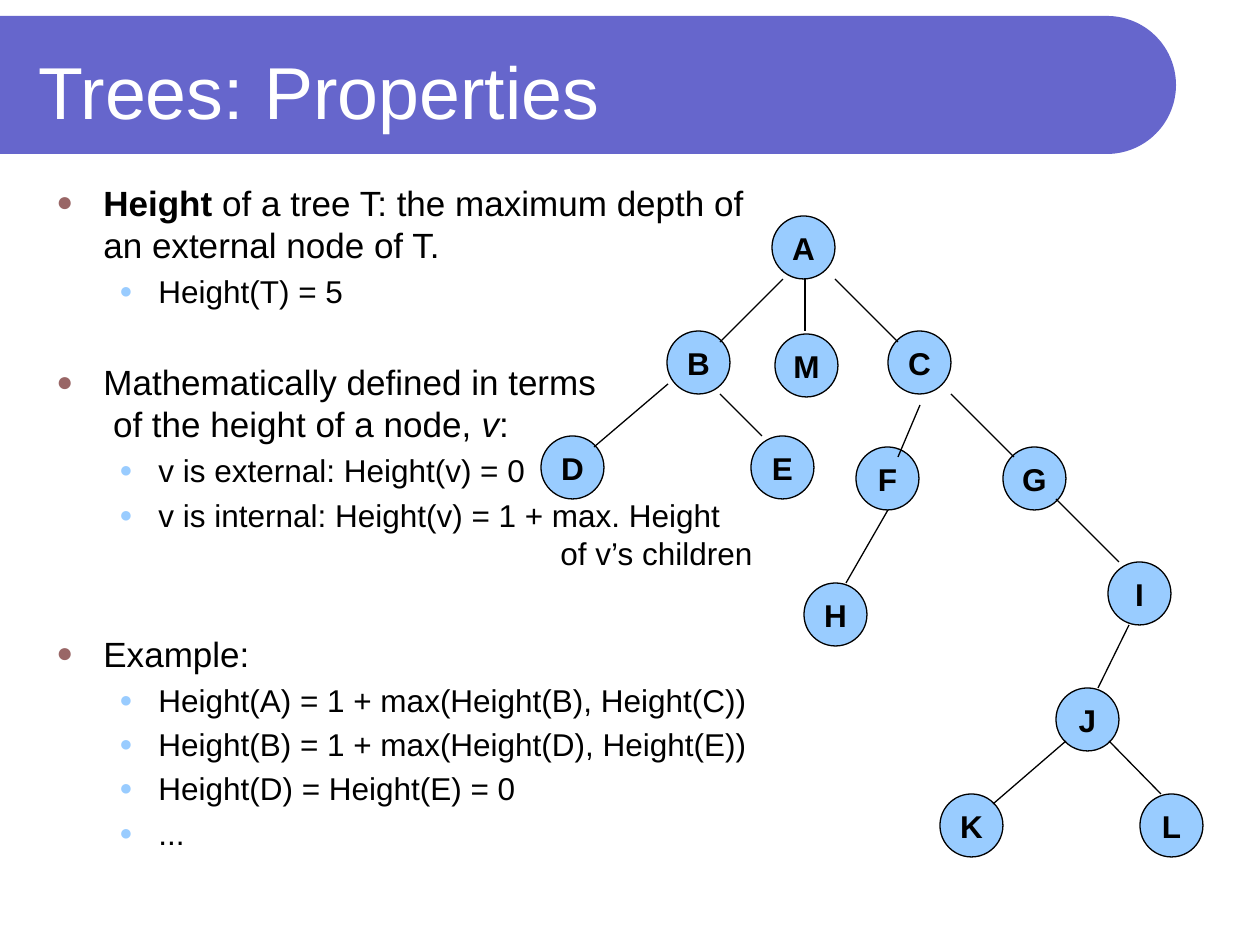
import math

import lxml.etree
import pptx
import pptx.dml.color
import pptx.enum.shapes
import pptx.enum.text
import pptx.oxml.ns
import pptx.util

EMU_PER_PX = 914400 / 126
FONT = "Arial"
COLORS = {
    "banner": "6666CC",
    "title": "FFFFFF",
    "ink": "000000",
    "node": "99CCFF",
    "main_bullet": "996666",
    "sub_bullet": "99CCFF",
}

# Per level: margin px, hanging px, text pt, line pt, space before pt, bullet colour, bullet %
LEVELS = [
    (47, 47, 20, 24, 4, "main_bullet", 80),
    (102, 39, 18, 21.7, 3.6, "sub_bullet", 70),
]
SECTION_GAP = 29.3
EXAMPLE_GAP = 34.8
CONTINUATION_MARGIN = 504

# Level, runs as (text, style), space before when it differs from the level's
BODY = [
    (0, [("Height ", "bold"), ("of a tree T: the maximum depth of\nan external node of T.", "")], 0),
    (1, [("Height(T) = 5", "")], None),
    (0, [("Mathematically defined in terms\n of the height of a node, ", ""),
         ("v", "italic"), (":", "")], SECTION_GAP),
    (1, [("v is external: Height(v) = 0", "")], None),
    (1, [("v is internal: Height(v) = 1 + max. Height", "")], None),
    ("continuation", [("of v’s children", "")], 0),
    (0, [("Example:", "")], EXAMPLE_GAP),
    (1, [("Height(A) = 1 + max(Height(B), Height(C))", "")], None),
    (1, [("Height(B) = 1 + max(Height(D), Height(E))", "")], None),
    (1, [("Height(D) = Height(E) = 0", "")], None),
    (1, [("...", "")], None),
]

NODE_SIZE = 63
NODES = {
    "A": (772, 216), "B": (667, 331), "M": (775, 334), "C": (888, 331),
    "D": (541, 436), "E": (751, 436), "F": (856, 447), "G": (1003, 447),
    "H": (804, 583), "I": (1108, 562), "J": (1056, 688),
    "K": (940, 794), "L": (1140, 794),
}
EDGES = {
    "AB": (783, 279, 720, 342), "AM": (805, 279, 805, 331), "AC": (835, 279, 898, 342),
    "BD": (668, 384, 594, 447), "BE": (720, 394, 762, 436),
    "CF": (920, 405, 898, 457), "CG": (951, 394, 1014, 457),
    "FH": (888, 510, 846, 583), "GI": (1056, 499, 1119, 562),
    "IJ": (1129, 625, 1098, 688),
    "JK": (1066, 741, 993, 804), "JL": (1109, 741, 1161, 794),
}


def px(value):
    return pptx.util.Emu(round(value * EMU_PER_PX))


def color(name):
    return pptx.dml.color.RGBColor.from_string(COLORS[name])


def add_run(paragraph, text, size, color_name, style=""):
    """Add one styled run for each line of text, with line breaks between."""
    for index, line in enumerate(text.split("\n")):
        if index:
            paragraph.add_line_break()
        run = paragraph.add_run()
        run.text = line
        run.font.name = FONT
        run.font.size = pptx.util.Pt(size)
        run.font.bold = style == "bold"
        run.font.italic = style == "italic"
        run.font.color.rgb = color(color_name)


def add_text_box(slide, left, top, width, height):
    text_frame = slide.shapes.add_textbox(px(left), px(top), px(width), px(height)).text_frame
    text_frame.word_wrap = True
    return text_frame


def add_banner(slide):
    center_x, center_y, radius = 1107, 85, 69
    angles = [math.radians(degrees) for degrees in range(-90, 91, 3)]
    arc = [(px(center_x + radius * math.cos(angle)), px(center_y + radius * math.sin(angle)))
           for angle in angles]
    builder = slide.shapes.build_freeform(0, px(center_y - radius))
    builder.add_line_segments(arc + [(0, px(center_y + radius))], close=True)
    banner = builder.convert_to_shape()
    banner.shadow.inherit = False
    banner.fill.solid()
    banner.fill.fore_color.rgb = color("banner")
    banner.line.fill.background()


def add_title(slide):
    text_frame = add_text_box(slide, 26, 27, 1105, 126)
    text_frame.vertical_anchor = pptx.enum.text.MSO_ANCHOR.MIDDLE
    add_run(text_frame.paragraphs[0], "Trees: Properties", 42, "title")


def set_indent(paragraph, margin, hanging):
    properties = paragraph._p.get_or_add_pPr()
    properties.set("marL", str(px(margin)))
    properties.set("indent", str(-px(hanging)))
    return properties


def add_bullet(properties, color_name, percent):
    def add(parent, tag, **attributes):
        return lxml.etree.SubElement(parent, pptx.oxml.ns.qn(tag), attributes)

    add(add(properties, "a:buClr"), "a:srgbClr", val=COLORS[color_name])
    add(properties, "a:buSzPct", val=str(percent * 1000))
    add(properties, "a:buFont", typeface=FONT)
    add(properties, "a:buChar", char="●")


def add_body(slide):
    text_frame = add_text_box(slide, 44, 175, 989, 725)
    for index, (level, runs, gap) in enumerate(BODY):
        paragraph = text_frame.add_paragraph() if index else text_frame.paragraphs[0]
        continued = level == "continuation"
        depth = 1 if continued else level
        margin, hanging, size, line, space, bullet, percent = LEVELS[depth]
        paragraph.level = depth
        if continued:
            set_indent(paragraph, CONTINUATION_MARGIN, 0)
        else:
            add_bullet(set_indent(paragraph, margin, hanging), bullet, percent)
        paragraph.line_spacing = pptx.util.Pt(line)
        paragraph.space_before = pptx.util.Pt(space if gap is None else gap)
        for text, style in runs:
            add_run(paragraph, text, size, "ink", style)


def add_node(slide, label, left, top):
    node = slide.shapes.add_shape(pptx.enum.shapes.MSO_SHAPE.OVAL,
                                  px(left), px(top), px(NODE_SIZE), px(NODE_SIZE))
    node.shadow.inherit = False
    node.fill.solid()
    node.fill.fore_color.rgb = color("node")
    node.line.color.rgb = color("ink")
    node.line.width = pptx.util.Pt(0.75)
    text_frame = node.text_frame
    text_frame.word_wrap = False
    text_frame.vertical_anchor = pptx.enum.text.MSO_ANCHOR.MIDDLE
    paragraph = text_frame.paragraphs[0]
    paragraph.alignment = pptx.enum.text.PP_ALIGN.CENTER
    add_run(paragraph, label, 18, "ink", "bold")


def add_edge(slide, *ends):
    edge = slide.shapes.add_connector(pptx.enum.shapes.MSO_CONNECTOR.STRAIGHT, *map(px, ends))
    edge.line.color.rgb = color("ink")
    edge.line.width = pptx.util.Pt(0.75)
    lxml.etree.SubElement(edge._element.spPr, pptx.oxml.ns.qn("a:effectLst"))


def main():
    presentation = pptx.Presentation()
    presentation.slide_width = px(1260)
    presentation.slide_height = px(945)
    slide = presentation.slides.add_slide(presentation.slide_layouts[6])
    add_banner(slide)
    add_title(slide)
    add_body(slide)
    for label, corner in NODES.items():
        add_node(slide, label, *corner)
    for ends in EDGES.values():
        add_edge(slide, *ends)
    presentation.save("out.pptx")


if __name__ == "__main__":
    main()
